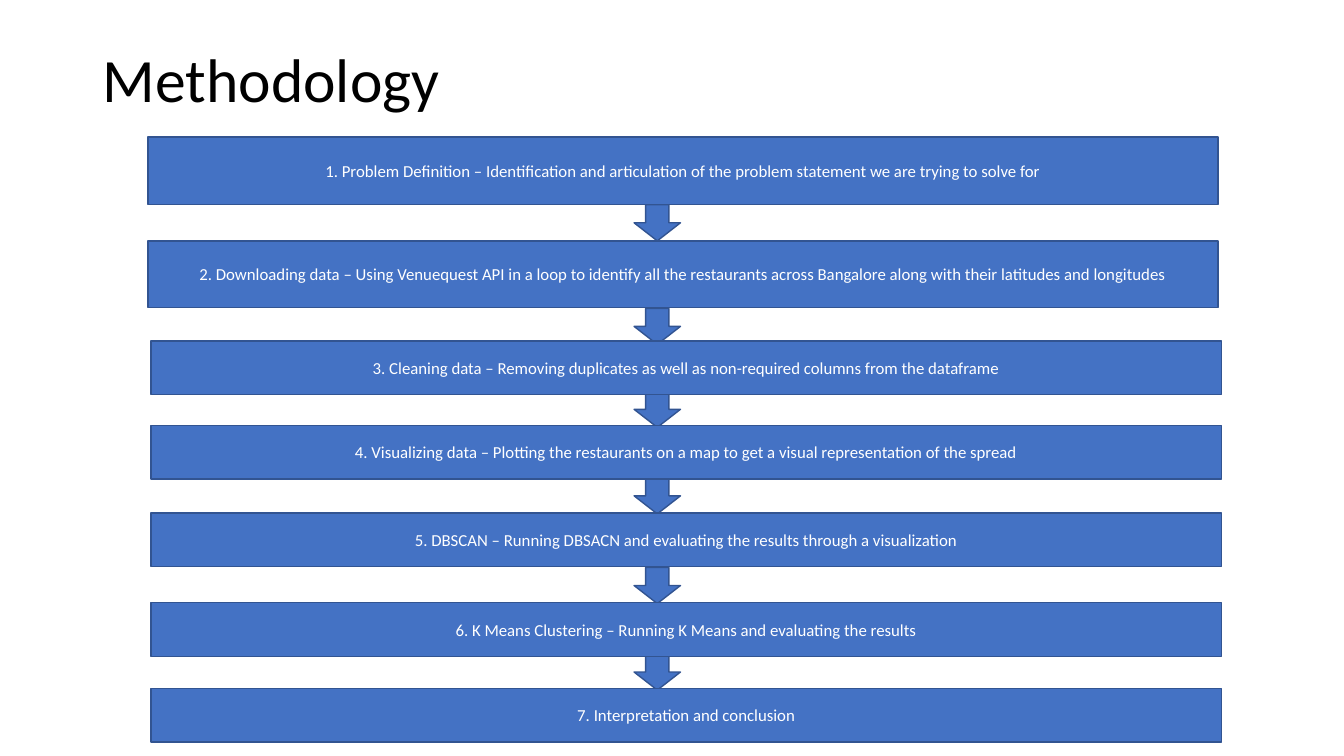
"""Build the Methodology slide: seven steps joined by down arrows."""
from pptx import Presentation
from pptx.dml.color import RGBColor
from pptx.enum.shapes import MSO_SHAPE as Shape
from pptx.enum.text import MSO_ANCHOR as Anchor, PP_ALIGN as Align
from pptx.util import Cm, Pt

COLORS = {"fill": "4472C4", "outline": "325491", "title": "000000", "step": "FFFFFF"}
STEPS = [
    (3.73, 3.45, 1.7, "Problem Definition – Identification and articulation of the problem "
     "statement we are trying to solve for"),
    (3.73, 6.07, 1.68, "Downloading data – Using Venuequest API in a loop to identify all the "
     "restaurants across Bangalore along with their latitudes and longitudes"),
    (3.81, 8.59, 1.35, "Cleaning data – Removing duplicates as well as non-required columns "
     "from the dataframe"),
    (3.81, 10.72, 1.35, "Visualizing data – Plotting the restaurants on a map to get a visual "
     "representation of the spread"),
    (3.81, 12.93, 1.35, "DBSCAN – Running DBSACN and evaluating the results through a "
     "visualization"),
    (3.81, 15.19, 1.35, "K Means Clustering – Running K Means and evaluating the results"),
    (3.81, 17.35, 1.35, "Interpretation and conclusion"),
]
ARROW_TOPS = [5.16, 7.77, 9.86, 12.04, 14.3, 16.48]


def add_block(kind, left, top, width, height):
    block = page.shapes.add_shape(kind, Cm(left), Cm(top), Cm(width), Cm(height))
    block.shadow.inherit = False
    block.fill.solid()
    block.fill.fore_color.rgb = RGBColor.from_string(COLORS["fill"])
    block.line.color.rgb = RGBColor.from_string(COLORS["outline"])
    block.line.width = Pt(1)
    return block


def write(box, text, size, color, align):
    frame = box.text_frame
    frame.word_wrap = True
    frame.vertical_anchor = Anchor.MIDDLE
    para = frame.paragraphs[0]
    para.alignment = align
    span = para.add_run()
    span.text = text
    span.font.name = "Calibri"
    span.font.size = Pt(size)
    span.font.color.rgb = RGBColor.from_string(COLORS[color])
    return para


deck = Presentation()
deck.slide_width, deck.slide_height = Cm(33.87), Cm(19.05)
page = deck.slides.add_slide(deck.slide_layouts[6])

title = page.shapes.add_textbox(Cm(2.34), Cm(0.23), Cm(29.21), Cm(3.68))
write(title, "Methodology", 44, "title", Align.LEFT).line_spacing = 0.9

for top in ARROW_TOPS:
    add_block(Shape.DOWN_ARROW, 15.98, top, 1.17, 0.91)

for number, (left, top, height, text) in enumerate(STEPS, 1):
    step = add_block(Shape.RECTANGLE, left, top, 26.97, height)
    write(step, f"{number}. {text}", 12, "step", Align.CENTER)

deck.save("out.pptx")
